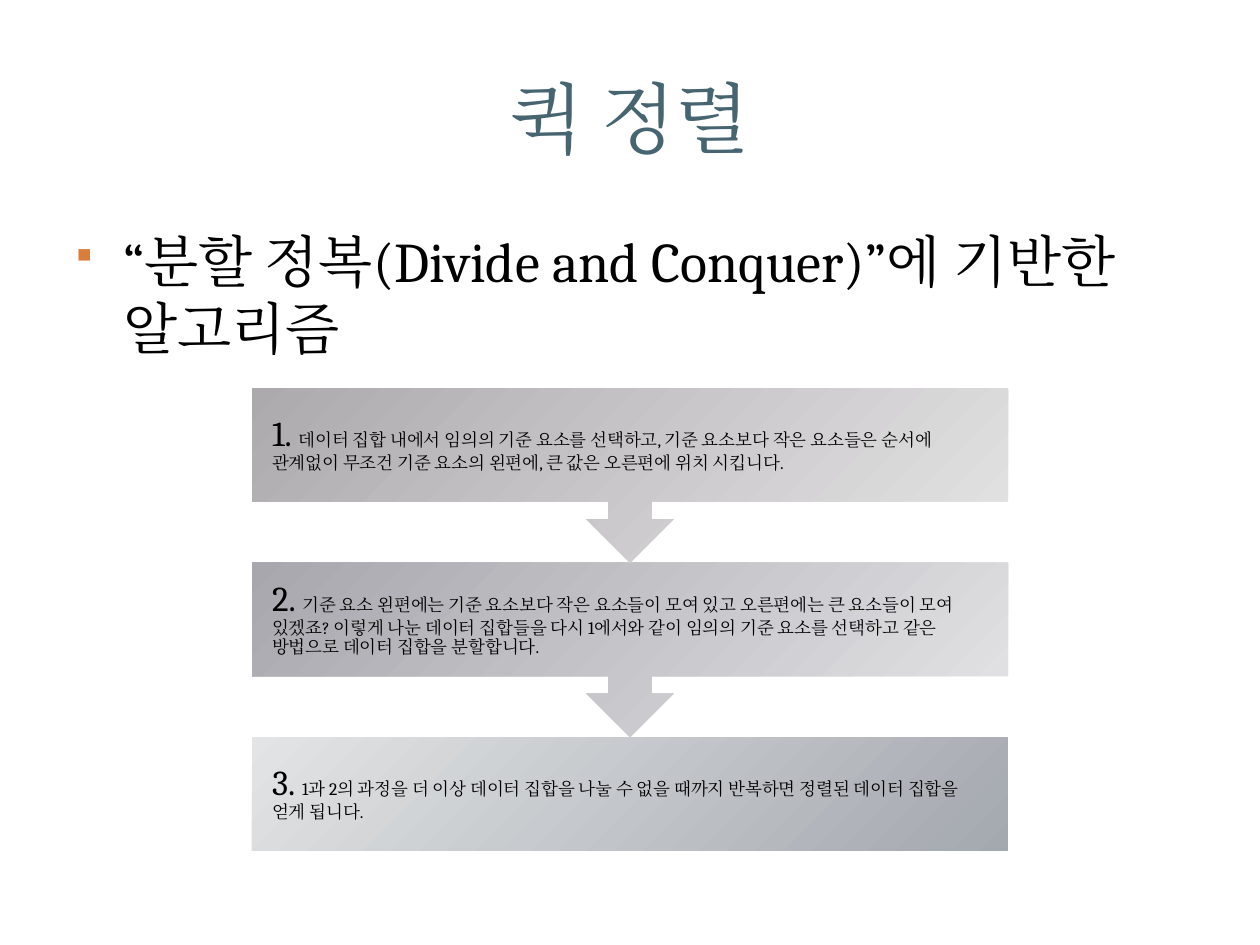
from dataclasses import dataclass

from lxml import etree
from pptx import Presentation
from pptx.dml.color import RGBColor
from pptx.enum.lang import MSO_LANGUAGE_ID
from pptx.enum.shapes import MSO_SHAPE
from pptx.enum.text import MSO_ANCHOR, MSO_AUTO_SIZE, PP_ALIGN
from pptx.oxml.ns import qn
from pptx.util import Inches, Pt

CALLOUT, RECTANGLE = MSO_SHAPE.UP_ARROW_CALLOUT, MSO_SHAPE.RECTANGLE
MIDDLE, TOP = MSO_ANCHOR.MIDDLE, MSO_ANCHOR.TOP
CENTER, LEFT = PP_ALIGN.CENTER, PP_ALIGN.LEFT
NO_AUTOFIT = MSO_AUTO_SIZE.NONE
KOREAN = MSO_LANGUAGE_ID.KOREAN
TITLE_ONLY = 5
SLIDE_WIDTH, SLIDE_HEIGHT = 10, 7.5


@dataclass(frozen=True)
class Theme:
    font: str = "Cambria"
    bullet_font: str = "Wingdings"
    title_color: str = "466571"
    text_color: str = "000000"
    bullet_color: str = "D87D3A"
    title_size: int = 44
    body_size: int = 32
    number_size: int = 20
    step_size: int = 10
    gradients: tuple = (("E5E4E5", "ADAAAD"), ("E4E3E5", "A8A7AE"), ("E2E4E5", "A4A8AF"))


THEME = Theme()

STEPS = (
    "데이터 집합 내에서 임의의 기준 요소를 선택하고, 기준 요소보다 작은 요소들은 순서에 "
    "관계없이 무조건 기준 요소의 왼편에, 큰 값은 오른편에 위치 시킵니다.",
    "기준 요소 왼편에는 기준 요소보다 작은 요소들이 모여 있고 오른편에는 큰 요소들이 모여 "
    "있겠죠? 이렇게 나눈 데이터 집합들을 다시 1에서와 같이 임의의 기준 요소를 선택하고 같은 "
    "방법으로 데이터 집합을 분할합니다.",
    "1과 2의 과정을 더 이상 데이터 집합을 나눌 수 없을 때까지 반복하면 정렬된 데이터 집합을 "
    "얻게 됩니다.",
)


def inches(box):
    return [Inches(length) for length in box]


def set_all(target, values):
    for name, value in values.items():
        setattr(target, name, value)


def add_run(paragraph, text, size, color=THEME.text_color):
    run = paragraph.add_run()
    run.text = text
    set_all(run.font, {"name": THEME.font, "size": Pt(size), "language_id": KOREAN})
    run.font.color.rgb = RGBColor.from_string(color)
    etree.SubElement(run._r.get_or_add_rPr(), qn("a:ea"), typeface=THEME.font)


def prepare_text(holder, anchor, align=LEFT, inset=None):
    """Format the text frame and return its first paragraph."""
    frame = holder.text_frame
    set_all(frame, {"word_wrap": True, "auto_size": NO_AUTOFIT, "vertical_anchor": anchor})
    if inset is not None:
        sides = ("left", "top", "right", "bottom")
        set_all(frame, {f"margin_{side}": Inches(inset) for side in sides})
    paragraph = frame.paragraphs[0]
    paragraph.alignment = align
    return paragraph


def add_bullet(paragraph, indent):
    properties = paragraph._p.get_or_add_pPr()
    properties.set("marL", str(Inches(indent)))
    properties.set("indent", str(-Inches(indent)))
    color = etree.SubElement(properties, qn("a:buClr"))
    etree.SubElement(color, qn("a:srgbClr"), val=THEME.bullet_color)
    etree.SubElement(properties, qn("a:buSzPct"), val="70000")
    etree.SubElement(properties, qn("a:buFont"), typeface=THEME.bullet_font, charset="2")
    etree.SubElement(properties, qn("a:buChar"), char="§")


def place_title(slide, box):
    title = slide.shapes.title
    set_all(title, dict(zip(("left", "top", "width", "height"), inches(box))))
    paragraph = prepare_text(title, MIDDLE, CENTER)
    add_run(paragraph, "퀵 정렬", THEME.title_size, THEME.title_color)


def place_body(slide, box):
    paragraph = prepare_text(slide.shapes.add_textbox(*inches(box)), TOP)
    paragraph.space_before = Pt(0.2 * THEME.body_size)
    add_bullet(paragraph, 0.38)
    add_run(paragraph, "“분할 정복(Divide and Conquer)”에 기반한 알고리즘", THEME.body_size)


def place_panel(slide, kind, box, gradient, rotation):
    panel = slide.shapes.add_shape(kind, *inches(box))
    panel.shadow.inherit = False
    panel.rotation = rotation
    panel.line.fill.background()
    panel.fill.gradient()
    panel.fill.gradient_angle = 315
    for stop, color in zip(panel.fill.gradient_stops, gradient):
        stop.color.rgb = RGBColor.from_string(color)


def place_step_text(slide, box, number, text):
    paragraph = prepare_text(slide.shapes.add_textbox(*inches(box)), MIDDLE, inset=0.16)
    paragraph.line_spacing = 0.9
    add_run(paragraph, f"{number}. ", THEME.number_size)
    add_run(paragraph, text, THEME.step_size)


def place_steps(slide, box):
    """Stack the steps from top to bottom; all but the last point to the next."""
    left, top, width, height = box
    panel_height = 0.245 * height
    pitch = (height - panel_height) / (len(STEPS) - 1)
    rows = list(enumerate(zip(STEPS, THEME.gradients)))
    for index, (text, gradient) in reversed(rows):
        row_top = top + index * pitch
        if index == len(STEPS) - 1:
            kind, full_height, rotation = RECTANGLE, panel_height, 0
        else:
            kind, full_height, rotation = CALLOUT, pitch, 180
        place_panel(slide, kind, (left, row_top, width, full_height), gradient, rotation)
        place_step_text(slide, (left, row_top, width, panel_height), index + 1, text)


def main():
    deck = Presentation()
    deck.slide_width, deck.slide_height = inches((SLIDE_WIDTH, SLIDE_HEIGHT))
    slide = deck.slides.add_slide(deck.slide_layouts[TITLE_ONLY])
    margin = 0.05 * SLIDE_WIDTH
    content_width = SLIDE_WIDTH - 2 * margin
    place_title(slide, (margin, 0.04 * SLIDE_HEIGHT, content_width, SLIDE_HEIGHT / 6))
    place_body(slide, (margin, 1.75, content_width, 0.66 * SLIDE_HEIGHT))
    place_steps(slide, (0.2 * SLIDE_WIDTH, 3.08, 0.6 * SLIDE_WIDTH, 3.67))
    deck.save("out.pptx")


if __name__ == "__main__":
    main()
